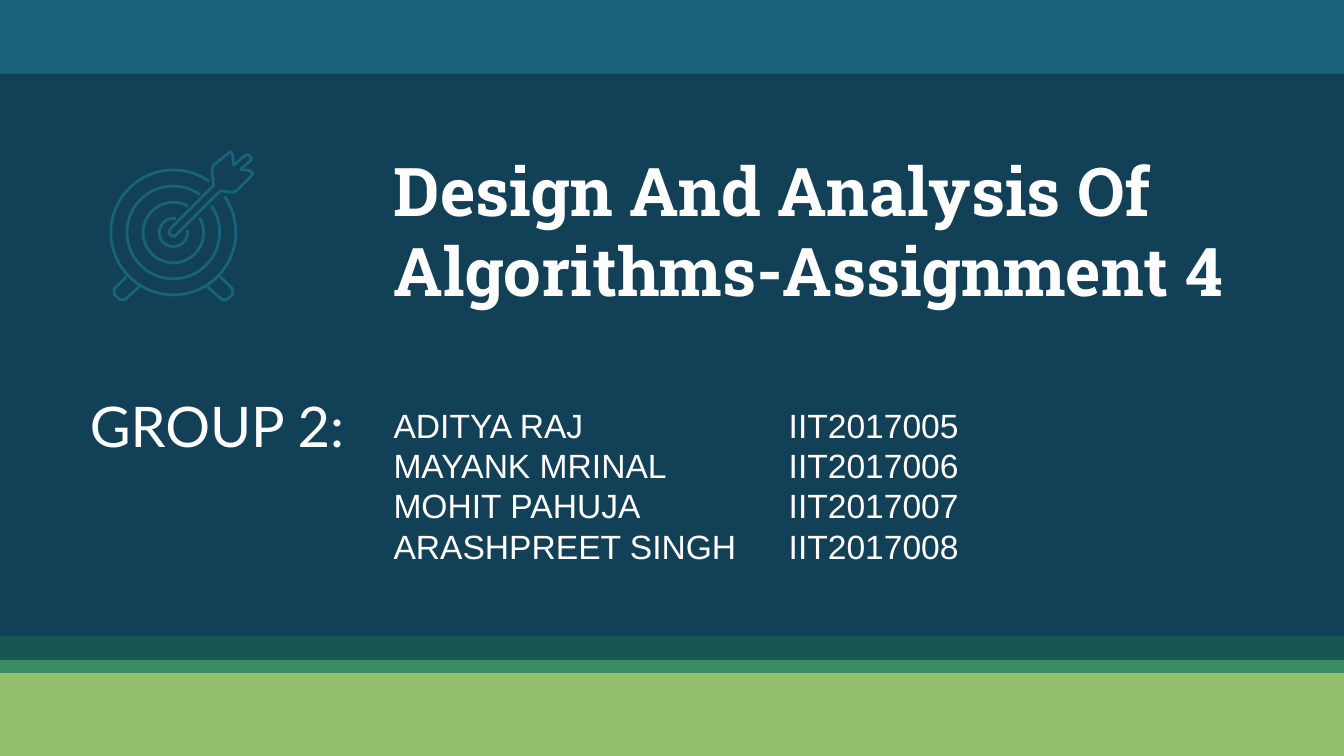
from math import cos, sin, radians
from lxml.etree import SubElement
from pptx import Presentation
from pptx.dml.color import RGBColor as RGB
from pptx.enum.shapes import MSO_SHAPE as Shape
from pptx.enum.text import MSO_ANCHOR as Anchor, MSO_AUTO_SIZE as Fit, PP_ALIGN as Align
from pptx.oxml.ns import qn
from pptx.util import Inches, Pt

HUE = {"teal": "18637B", "navy": "124057", "pine": "165751",
       "green": "3B8D61", "lime": "94BF6E", "white": "FFFFFF"}

deck = Presentation()
deck.slide_width, deck.slide_height = Inches(10), Inches(10 * 9 / 16)
slide = deck.slides.add_slide(deck.slide_layouts[0])
title, spare = slide.placeholders
slide.shapes.element.remove(spare.element)


def write(para, text, font, size, bold=False):
    para.alignment = Align.LEFT
    run = para.add_run()
    run.text = text
    run.font.name, run.font.size, run.font.bold = font, Pt(size), bold
    run.font.color.rgb = RGB.from_string(HUE["white"])


def draw(group, points, close=False):
    dots = [(Inches(x), Inches(y)) for x, y in points]
    pen = group.shapes.build_freeform(*dots[0], scale=1.0)
    pen.add_line_segments(dots[1:], close=close)
    line = pen.convert_to_shape()
    line.shadow.inherit = False
    line.fill.background()
    line.line.color.rgb = RGB.from_string(HUE["teal"])
    line.line.width = Pt(1.5)


# Background bands, placed behind the text
bands = [("pine", 4.69, 0.27), ("teal", 0, 0.58), ("navy", 0.55, 4.18),
         ("green", 4.91, 0.13), ("lime", 5.01, 0.61)]
for spot, (hue, top, high) in enumerate(bands, 2):
    band = slide.shapes.add_shape(Shape.RECTANGLE, 0, Inches(top),
                                  deck.slide_width, Inches(high))
    band.shadow.inherit = False
    band.fill.solid()
    band.fill.fore_color.rgb = RGB.from_string(HUE[hue])
    band.line.fill.background()
    slide.shapes.element.insert(spot, band.element)
band.height = deck.slide_height - band.top

# Target rings, each open around the arrow at 45 degrees
icon = slide.shapes.add_group_shape()
mid, level = 1.29, 1.73
for size, gap in [(0.465, 10), (0.345, 10), (0.225, 16), (0.105, 34)]:
    turn = 360 - 2 * gap
    angles = [radians(45 + gap + turn * i / 60) for i in range(61)]
    draw(icon, [(mid + size * cos(a), level - size * sin(a)) for a in angles])

# Target legs, mirrored about the centre
leg = [(0.94, 2.06), (0.87, 2.13), (0.85, 2.15), (0.85, 2.17), (0.85, 2.19),
       (0.87, 2.21), (0.89, 2.23), (0.91, 2.23), (0.93, 2.23), (0.95, 2.21),
       (1.03, 2.14), (1.03, 2.13)]
draw(icon, leg)
draw(icon, [(2 * mid - x, y) for x, y in leg])

# Arrow
draw(icon, [(1.86, 1.27), (1.79, 1.26), (1.86, 1.2), (1.87, 1.18), (1.86, 1.16),
            (1.84, 1.15), (1.82, 1.16), (1.74, 1.23), (1.73, 1.15), (1.72, 1.13),
            (1.7, 1.14), (1.59, 1.23), (1.58, 1.26), (1.58, 1.3), (1.59, 1.38),
            (1.27, 1.7), (1.26, 1.72), (1.26, 1.74), (1.28, 1.76), (1.31, 1.75),
            (1.64, 1.42), (1.71, 1.43), (1.74, 1.43), (1.77, 1.41), (1.87, 1.31),
            (1.88, 1.29), (1.87, 1.28)], close=True)

# Text frames
label = slide.shapes.add_textbox(0, 0, 0, 0)
names = slide.shapes.add_textbox(0, 0, 0, 0)
for box, spot, hold in [(title, (2.83, 0.5, 8.33, 1.91), Anchor.BOTTOM),
                        (label, (0.57, 2.81, 3.17, 0.72), Anchor.TOP),
                        (names, (2.83, 2.91, 6.65, 1.59), Anchor.TOP)]:
    box.left, box.top, box.width, box.height = map(Inches, spot)
    frame = box.text_frame
    frame.word_wrap, frame.auto_size = True, Fit.NONE
    frame.vertical_anchor = hold
    frame.margin_left = frame.margin_right = Inches(0.1)
    frame.margin_top = frame.margin_bottom = Inches(0.1)

write(title.text_frame.paragraphs[0], "Design And Analysis Of Algorithms-Assignment 4",
      "Roboto Slab", 36, True)
write(label.text_frame.paragraphs[0], "GROUP 2:", "Lato", 30)

# Group members, with the numbers on a tab stop
people = [("ADITYA RAJ", "IIT2017005"), ("MAYANK MRINAL", "IIT2017006"),
          ("MOHIT PAHUJA", "IIT2017007"), ("ARASHPREET SINGH", "IIT2017008")]
frame = names.text_frame
for i, (name, code) in enumerate(people):
    para = frame.add_paragraph() if i else frame.paragraphs[0]
    para.line_spacing = Pt(21.6)
    write(para, f"{name}\t{code}", "Arial", 18)
    tabs = SubElement(para._p.get_or_add_pPr(), qn("a:tabLst"))
    SubElement(tabs, qn("a:tab"), pos=str(Inches(2.94)), algn="l")

deck.save("out.pptx")
